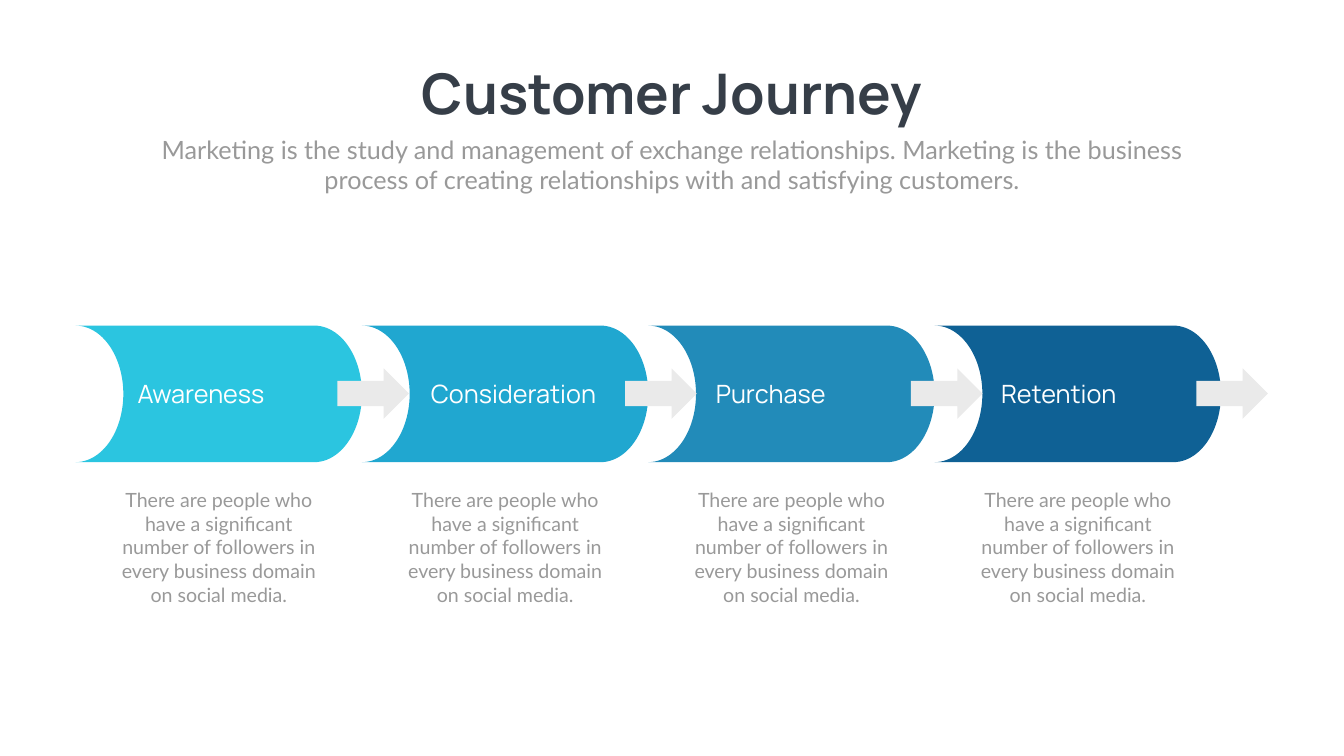
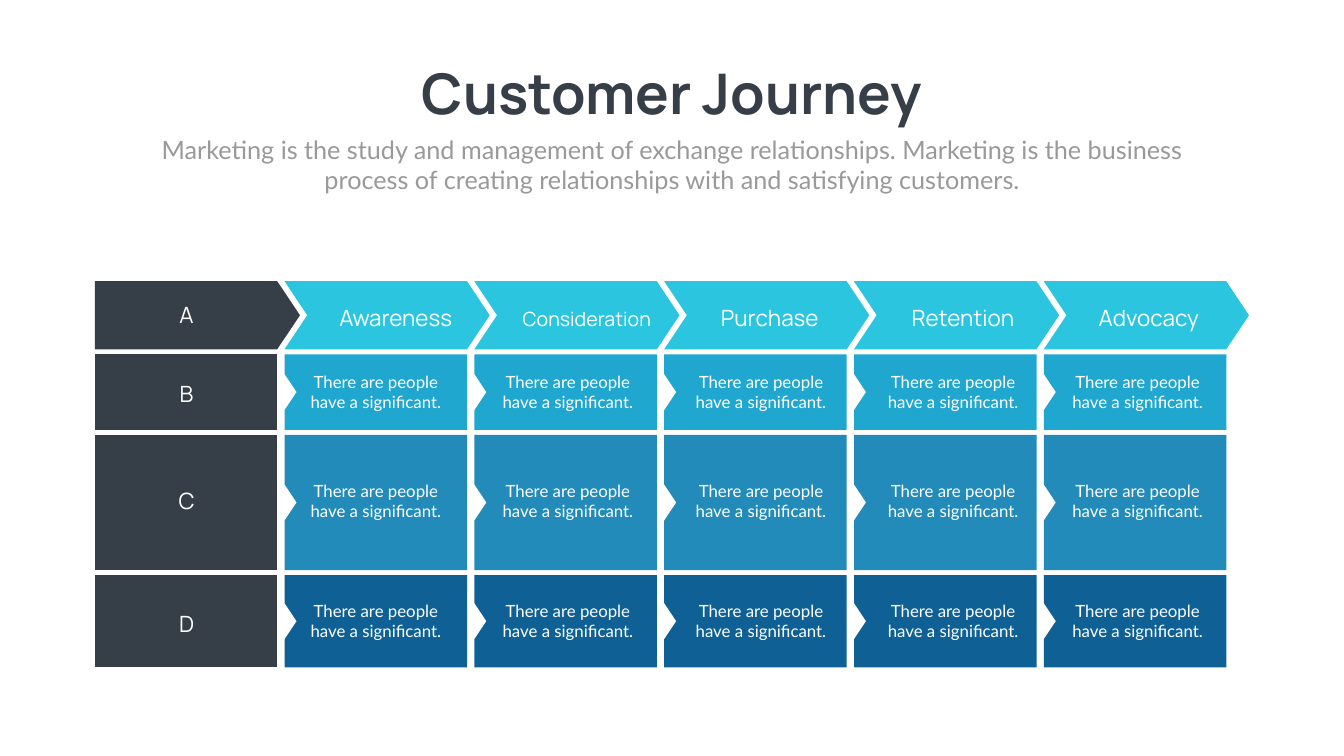
from pptx import Presentation
from pptx import util as u
from pptx.dml.color import RGBColor
from pptx.enum import shapes, text

SLIDE_WIDTH, SLIDE_HEIGHT = 26.66, 15
DARK = RGBColor(0x36, 0x3E, 0x48)
GRAY = RGBColor(0x99, 0x99, 0x99)
PALE = RGBColor(0xEA, 0xEA, 0xEA)
WHITE = RGBColor(0xFF, 0xFF, 0xFF)
BLUES = [
    RGBColor(0x2B, 0xC5, 0xE0),
    RGBColor(0x20, 0xA7, 0xD0),
    RGBColor(0x22, 0x8B, 0xB9),
    RGBColor(0x0F, 0x61, 0x95),
]
HEADING_FONT, BODY_FONT = "Manrope", "Lato"
CENTER, LEFT = text.PP_ALIGN.CENTER, text.PP_ALIGN.LEFT

TITLE = "Customer Journey"
SUBTITLE = (
    "Marketing is the study and management of exchange relationships. "
    "Marketing is the business process of creating relationships with "
    "and satisfying customers."
)
STAGE_NOTE = (
    "There are people who have a significant number of followers "
    "in every business domain on social media."
)
CELL_LINES = ["There are people", "have a significant."]

# name, label left, label width, arrow left
STAGES = [
    ("Awareness", 2.63, 3.59, 6.69),
    ("Consideration", 8.45, 4.15, 12.4),
    ("Purchase", 14.1, 4.15, 18.07),
    ("Retention", 19.76, 4.15, 23.73),
]
# name, size, header left, header top, cell text left
COLUMNS = [
    ("Awareness", 32, 5.8, 5.98, 5.87),
    ("Consideration", 28, 9.59, 6.05, 9.68),
    ("Purchase", 32, 13.22, 5.98, 13.51),
    ("Retention", 32, 17.05, 5.98, 17.32),
    ("Advocacy", 32, 20.74, 5.98, 20.98),
]
# letter, height, letter top, cell text top
ROWS = [
    ("A", 1.35, 5.93, None),
    ("B", 1.5, 7.49, 7.32),
    ("C", 2.68, 9.62, 9.48),
    ("D", 1.83, 12.06, 11.87),
]

STAGE_LEFT, STAGE_TOP, STAGE_WIDTH, STAGE_HEIGHT = 1.5, 6.46, 5.68, 2.71
GRID_LEFT, GRID_TOP, COLUMN_STEP, CELL_WIDTH, ROW_GAP = 1.88, 5.58, 3.765, 3.62, 0.1
HEADER_POINT = 0.45
NOTCH_DEPTH, NOTCH_HALF = 0.24, 0.36


def add_text(slide, lines, box, size, font, color, align=CENTER, bold=False):
    frame = slide.shapes.add_textbox(*map(u.Inches, box)).text_frame
    frame.word_wrap = True
    frame.text = "\n".join(lines)
    for paragraph in frame.paragraphs:
        paragraph.alignment = align
        paragraph.font.size = u.Pt(size)
        paragraph.font.name = font
        paragraph.font.bold = bold
        paragraph.font.color.rgb = color


def paint(shape, color):
    shape.shadow.inherit = False
    shape.fill.solid()
    shape.fill.fore_color.rgb = color
    shape.line.fill.background()


def add_preset(slide, kind, box, color):
    shape = slide.shapes.add_shape(kind, *map(u.Inches, box))
    paint(shape, color)
    return shape


def add_cell(slide, left, top, height, color, point=0, notch=0, notch_half=0):
    right, bottom, middle = left + CELL_WIDTH, top + height, top + height / 2
    outline = [(left, top), (right, top)]
    if point:
        outline.append((right + point, middle))
    outline += [(right, bottom), (left, bottom)]
    if notch:
        outline += [
            (left, middle + notch_half),
            (left + notch, middle),
            (left, middle - notch_half),
        ]
    corners = [(u.Inches(x), u.Inches(y)) for x, y in outline]
    builder = slide.shapes.build_freeform(*corners[0])
    builder.add_line_segments(corners[1:], close=True)
    paint(builder.convert_to_shape(), color)


def add_slide(presentation):
    slide = presentation.slides.add_slide(presentation.slide_layouts[6])
    add_text(slide, [TITLE], (7.85, 1.12, 10.96, 1.45), 80, HEADING_FONT, DARK, bold=True)
    add_text(slide, [SUBTITLE], (2.92, 2.61, 20.82, 1.31), 36, BODY_FONT, GRAY)
    return slide


def build_stages(presentation):
    slide = add_slide(presentation)
    for index, color in enumerate(BLUES):
        left = STAGE_LEFT + index * STAGE_WIDTH
        band = add_preset(
            slide,
            shapes.MSO_SHAPE.FLOWCHART_STORED_DATA,
            (left, STAGE_TOP, STAGE_WIDTH, STAGE_HEIGHT),
            color,
        )
        band.element.spPr.get_or_add_xfrm().set("flipH", "1")
        add_text(slide, [STAGE_NOTE], (left + 0.79, 9.64, 4.1, 2.46), 28, BODY_FONT, GRAY)
    for name, label_left, label_width, arrow_left in STAGES:
        label_box = (label_left, 7.46, label_width, 0.71)
        add_text(slide, [name], label_box, 36, HEADING_FONT, WHITE, LEFT)
        add_preset(slide, shapes.MSO_SHAPE.RIGHT_ARROW, (arrow_left, 7.31, 1.42, 1), PALE)


def build_matrix(presentation):
    slide = add_slide(presentation)
    top = GRID_TOP
    for (letter, height, letter_top, text_top), color in zip(ROWS, BLUES):
        is_header = text_top is None
        point = HEADER_POINT if is_header else 0
        notch = HEADER_POINT if is_header else NOTCH_DEPTH
        notch_half = height / 2 if is_header else NOTCH_HALF
        add_cell(slide, GRID_LEFT, top, height, DARK, point)
        add_text(slide, [letter], (2.59, letter_top, 2.22, 0.64), 32, HEADING_FONT, WHITE)
        for index, (name, size, name_left, name_top, text_left) in enumerate(COLUMNS, 1):
            left = GRID_LEFT + index * COLUMN_STEP
            add_cell(slide, left, top, height, color, point, notch, notch_half)
            if is_header:
                name_box = (name_left, name_top, 4.1, 0.64)
                add_text(slide, [name], name_box, size, HEADING_FONT, WHITE)
            else:
                text_box = (text_left, text_top, 3.17, 0.91)
                add_text(slide, CELL_LINES, text_box, 24, BODY_FONT, WHITE)
        top += height + ROW_GAP


def main():
    presentation = Presentation()
    presentation.slide_width = u.Inches(SLIDE_WIDTH)
    presentation.slide_height = u.Inches(SLIDE_HEIGHT)
    build_stages(presentation)
    build_matrix(presentation)
    presentation.save("out.pptx")


if __name__ == "__main__":
    main()
